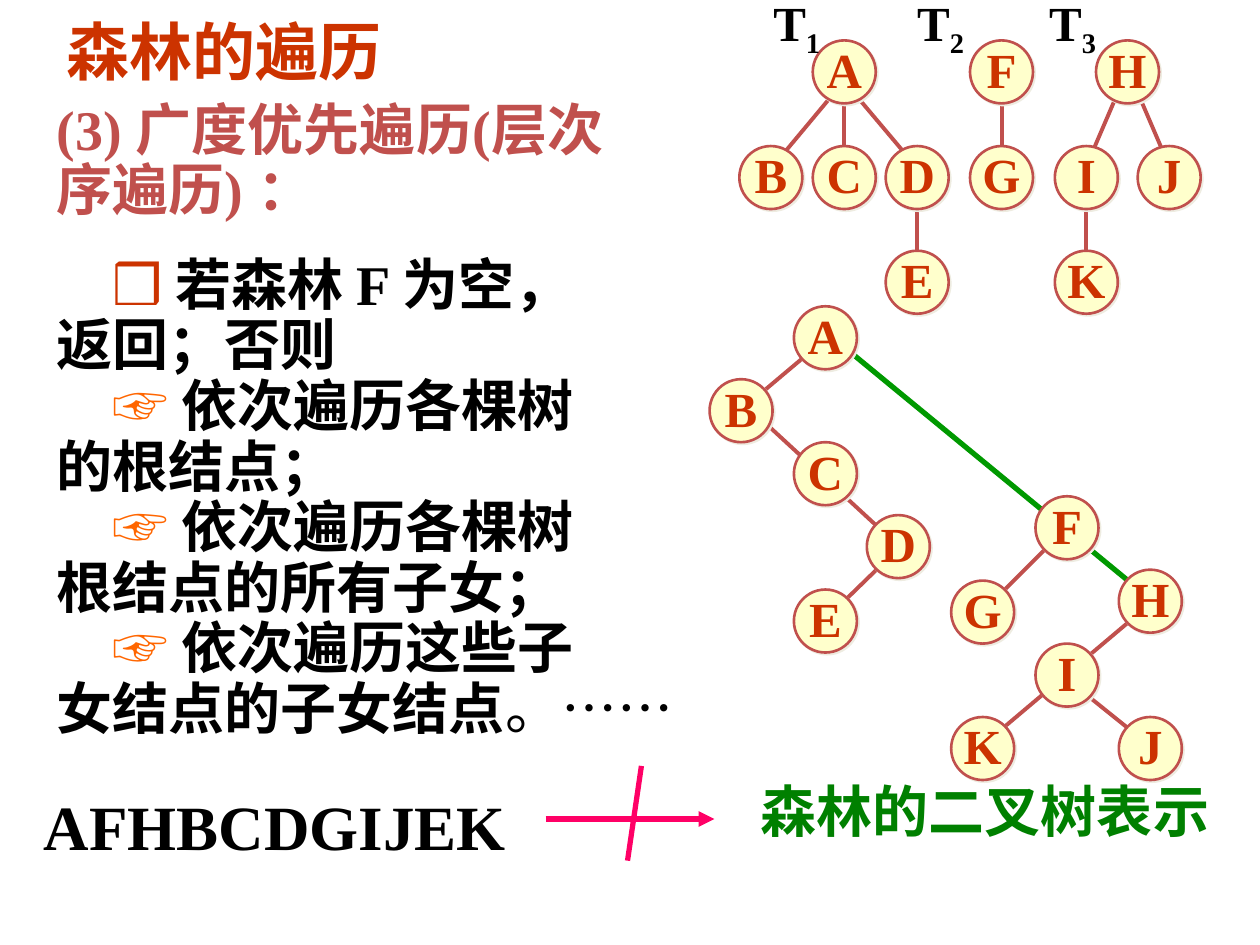
from lxml.etree import SubElement
from pptx import Presentation
from pptx.dml.color import RGBColor
from pptx.enum.shapes import MSO_CONNECTOR, MSO_SHAPE
from pptx.enum.text import MSO_ANCHOR, PP_ALIGN
from pptx.oxml.ns import qn
from pptx.util import Cm, Pt

RED = RGBColor(0xCC, 0x33, 0x00)
ROSE = RGBColor(0xC0, 0x50, 0x4D)
ORANGE = RGBColor(0xFF, 0x66, 0x00)
BLACK = RGBColor(0x00, 0x00, 0x00)
GREEN = RGBColor(0x00, 0x80, 0x00)
ROOT_GREEN = RGBColor(0x00, 0x99, 0x00)
PINK = RGBColor(0xFF, 0x00, 0x66)
CREAM = RGBColor(0xFF, 0xFF, 0xCC)
SHADOW = "EEECE1"
SERIF, SANS = "Times New Roman", "Arial"
DIAMETER = 1.27

# Content: each step is a marker, its colour, and the lines of the step
HEADING = ["(3) 广度优先遍历(层次", "序遍历) ："]
STEPS = [
    ("❒", RED, " 若森林 F 为空，", "返回；否则"),
    ("☞", ORANGE, " 依次遍历各棵树", "的根结点；"),
    ("☞", ORANGE, " 依次遍历各棵树", "根结点的所有子女；"),
    ("☞", ORANGE, " 依次遍历这些子", "女结点的子女结点"),
]
TREE_NUMBERS = ["1", "2", "3"]
TREE_TABS = [2.9, 5.56]

# Node centres in centimetres
ROWS = [1.45, 3.58, 5.69]
FOREST_ROWS = [
    {"A": 17.02, "F": 20.19, "H": 22.73},
    {"B": 15.54, "C": 17.02, "D": 18.49, "G": 20.19, "I": 21.9, "J": 23.57},
    {"E": 18.49, "K": 21.9},
]
FOREST = [(name, x, y) for y, row in zip(ROWS, FOREST_ROWS)
          for name, x in row.items()]
BINARY = [
    ("A", 16.64, 6.81), ("B", 14.94, 8.28), ("C", 16.64, 9.55),
    ("D", 18.11, 11.02), ("E", 16.64, 12.52), ("F", 21.51, 10.64),
    ("G", 19.81, 12.34), ("H", 23.19, 12.12), ("I", 21.51, 13.61),
    ("K", 19.81, 15.09), ("J", 23.19, 15.09),
]

# Branches from upper to lower end; a straight chain of nodes shares one line
ROOT_CHAIN = (17.07, 7.04, 22.99, 11.91)
BRANCHES = [
    (22.94, 1.88, 23.57, 3.35), (22.53, 1.88, 21.9, 3.35),
    (17.22, 1.88, 18.29, 3.15), (16.81, 1.88, 15.75, 3.15),
    (17.02, 1.88, 17.02, 3.15), (20.19, 1.88, 20.19, 3.15),
    (18.49, 3.99, 18.49, 5.26), (21.9, 3.99, 21.9, 5.26),
    (16.43, 7.01, 15.16, 8.08), (15.16, 8.28, 17.91, 10.82),
    (17.91, 11.25, 16.84, 12.29), (21.29, 10.85, 20.02, 12.12),
    (22.99, 12.34, 20.24, 14.66), (21.92, 14.02, 22.99, 14.88),
]


def add_span(para, text, size=32, color=BLACK, font=SERIF, bold=True,
             baseline=None):
    span = para.add_run()
    span.text = text
    span.font.size = Pt(size)
    span.font.name = font
    span.font.bold = bold
    span.font.color.rgb = color
    if baseline:
        span.font._element.set("baseline", str(baseline))


def add_box(page, left, top, width, height, wrap=True):
    box = page.shapes.add_textbox(Cm(left), Cm(top), Cm(width), Cm(height))
    box.text_frame.word_wrap = wrap
    return box.text_frame


def add_line(page, ends, color=ROSE, width=2.25, arrow=False):
    line = page.shapes.add_connector(MSO_CONNECTOR.STRAIGHT,
                                     *[Cm(value) for value in ends])
    line.line.color.rgb = color
    line.line.width = Pt(width)
    if arrow:
        SubElement(line.line._get_or_add_ln(), qn("a:tailEnd"), type="triangle")
    SubElement(line._element.spPr, qn("a:effectLst"))


def add_node(page, name, x, y):
    node = page.shapes.add_shape(
        MSO_SHAPE.OVAL, Cm(x - DIAMETER / 2), Cm(y - DIAMETER / 2),
        Cm(DIAMETER), Cm(DIAMETER))
    node.fill.solid()
    node.fill.fore_color.rgb = CREAM
    node.line.color.rgb = ROSE
    node.line.width = Pt(1.5)
    # Small solid shadow towards the lower right
    node.shadow.inherit = False
    effects = node._element.spPr.find(qn("a:effectLst"))
    shadow = SubElement(effects, qn("a:outerShdw"), dist=str(Pt(1.4)),
                        dir="2700000", algn="ctr", rotWithShape="0")
    SubElement(shadow, qn("a:srgbClr"), val=SHADOW)
    frame = node.text_frame
    frame.word_wrap = False
    frame.vertical_anchor = MSO_ANCHOR.MIDDLE
    frame.margin_left = frame.margin_right = frame.margin_top = 0
    frame.margin_bottom = Cm(0.13)
    frame.paragraphs[0].alignment = PP_ALIGN.CENTER
    add_span(frame.paragraphs[0], name, size=28, color=RED)


def add_title(page):
    title = page.shapes.title
    title.left, title.top = Cm(1.09), Cm(0.13)
    title.width, title.height = Cm(6.99), Cm(1.78)
    title.text_frame.vertical_anchor = MSO_ANCHOR.TOP
    title.text_frame.word_wrap = True
    para = title.text_frame.paragraphs[0]
    para.alignment = PP_ALIGN.LEFT
    add_span(para, "森林的遍历", size=36, color=RED, font=SANS)


def add_body(page):
    frame = add_box(page, 0.89, 1.93, 14.17, 13.16)
    para = frame.paragraphs[0]
    add_span(para, HEADING[0], color=ROSE)
    add_span(frame.add_paragraph(), HEADING[1], color=ROSE)
    for number, (marker, color, first, second) in enumerate(STEPS):
        para = frame.add_paragraph()
        para._p.get_or_add_pPr().set("indent", str(Cm(1.13)))
        if number == 0:
            para.space_before = Pt(19.5)
        add_span(para, marker, color=color, font=SANS)
        add_span(para, first)
        para = frame.add_paragraph()
        add_span(para, second)
    add_span(para, "。", bold=False)
    add_span(para, "……", font=SANS, bold=False)
    for para in frame.paragraphs:
        para.line_spacing = 0.9


def add_tree_labels(page):
    frame = add_box(page, 15.34, -0.28, 7.04, 1.6, wrap=False)
    frame.vertical_anchor = MSO_ANCHOR.MIDDLE
    para = frame.paragraphs[0]
    stops = SubElement(para._p.get_or_add_pPr(), qn("a:tabLst"))
    for position in TREE_TABS:
        SubElement(stops, qn("a:tab"), pos=str(Cm(position)), algn="l")
    for number in TREE_NUMBERS:
        add_span(para, "T" if number == "1" else "\tT", size=28)
        add_span(para, number, size=28, baseline=-25000)


def main():
    deck = Presentation()
    deck.slide_width, deck.slide_height = Cm(25.4), Cm(19.05)
    page = deck.slides.add_slide(deck.slide_layouts[5])
    add_title(page)
    add_body(page)

    # Forest and its binary tree
    add_line(page, ROOT_CHAIN, color=ROOT_GREEN, width=3)
    for ends in BRANCHES:
        add_line(page, ends)
    for node in BINARY + FOREST:
        add_node(page, *node)
    add_tree_labels(page)

    # Traversal result, caption and crossed arrow
    para = add_box(page, 0.56, 15.75, 9.96, 1.78).paragraphs[0]
    para.alignment = PP_ALIGN.CENTER
    add_span(para, "AFHBCDGIJEK", size=36)
    para = add_box(page, 15.09, 15.52, 9.63, 1.63).paragraphs[0]
    add_span(para, "森林的二叉树表示", color=GREEN)
    add_line(page, (11, 16.51, 14.4, 16.51), color=PINK, width=3, arrow=True)
    add_line(page, (12.93, 15.44, 12.65, 17.35), color=PINK, width=3)

    deck.save("out.pptx")


if __name__ == "__main__":
    main()
